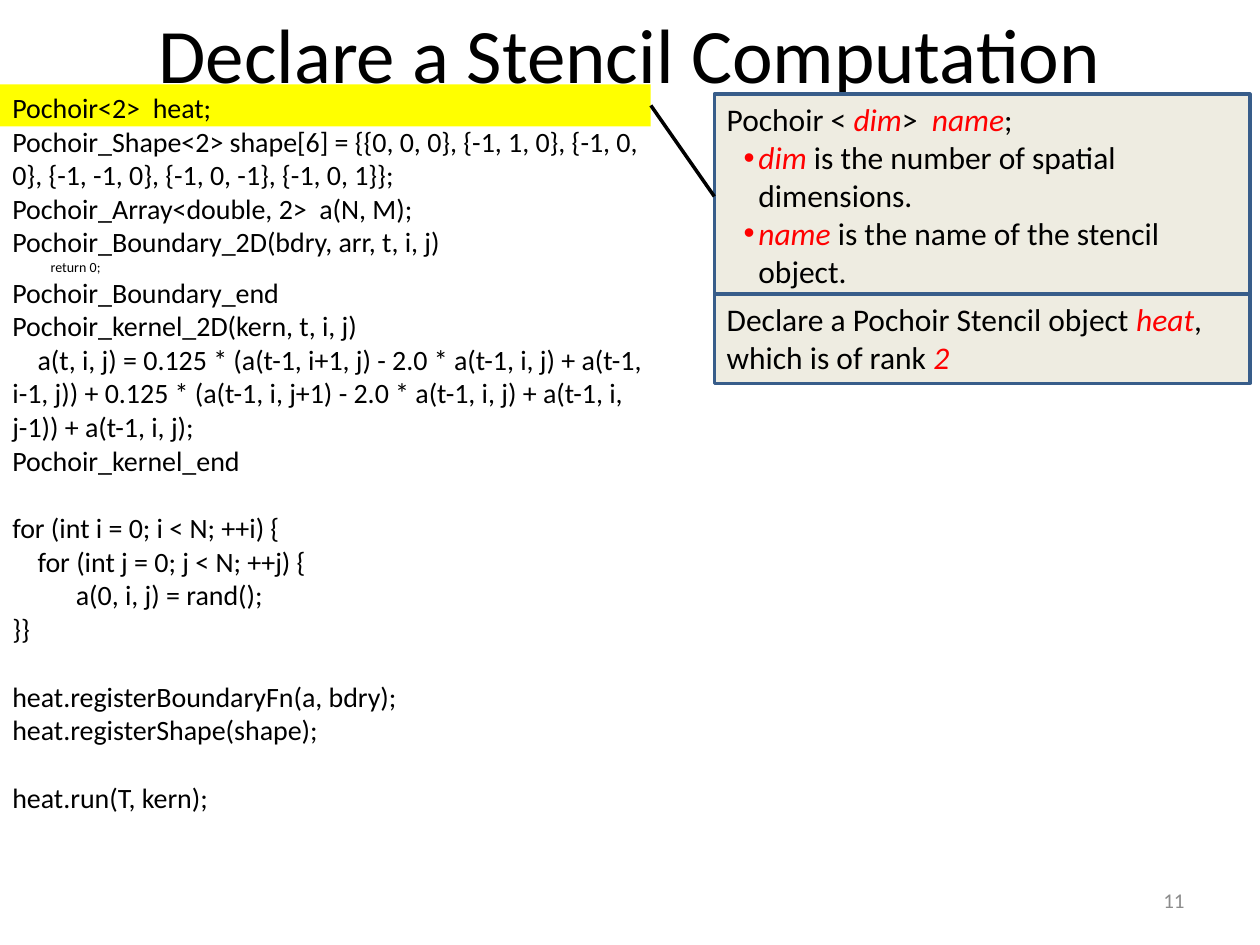
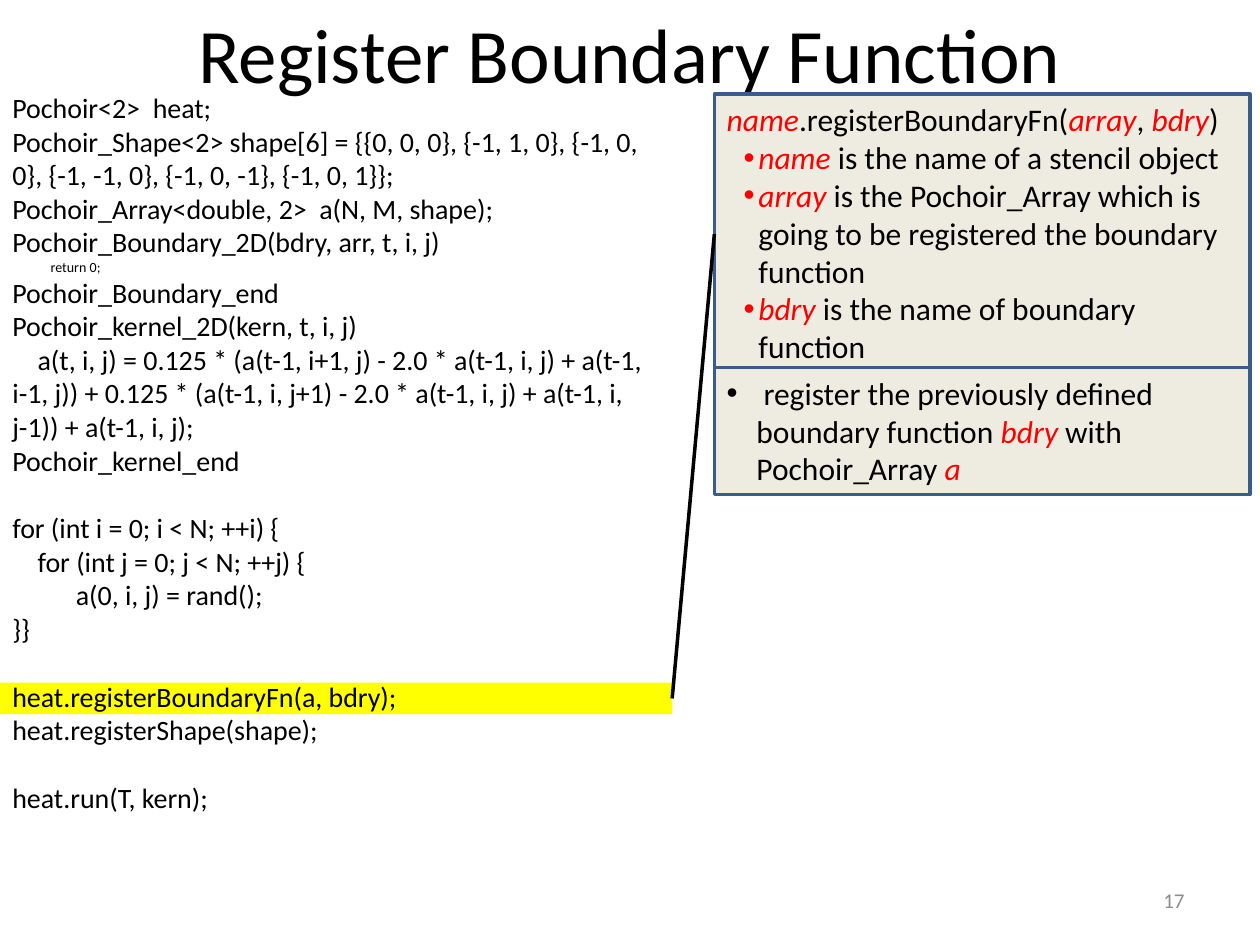
"""Build two slides that explain statements of a stencil program."""
from lxml.etree import SubElement
from pptx import Presentation
from pptx.dml.color import RGBColor
from pptx.enum.shapes import MSO_CONNECTOR as Connector, MSO_SHAPE as Shape
from pptx.enum.text import MSO_ANCHOR as Anchor, PP_ALIGN as Align
from pptx.oxml.ns import qn
from pptx.util import Cm, Pt

BLACK = RGBColor(0x00, 0x00, 0x00)
RED = RGBColor(0xFF, 0x00, 0x00)
YELLOW = RGBColor(0xFF, 0xFF, 0x00)
CREAM = RGBColor(0xEE, 0xEC, 0xE1)
BLUE = RGBColor(0x38, 0x5D, 0x8A)
GREY = RGBColor(0x8C, 0x8C, 0x8C)

FONT = "Calibri"
CODE_SIZE = 16
BLANK_LINE = 19.5
CODE_TOP = 1.7
NOTE_LEFT, NOTE_TOP, NOTE_WIDTH = 14.4, 1.9, 10.8
TITLE_ONLY = 5


def program(array_arguments):
    """Return the code as (text, indent in cm, size, space before) rows."""
    return [
        ("Pochoir<2>  heat;", 0, CODE_SIZE, 0),
        ("Pochoir_Shape<2> shape[6] = {{0, 0, 0}, {-1, 1, 0}, {-1, 0, 0}, "
         "{-1, -1, 0}, {-1, 0, -1}, {-1, 0, 1}};", 0, CODE_SIZE, 0),
        (f"Pochoir_Array<double, 2>  a({array_arguments});", 0, CODE_SIZE, 0),
        ("Pochoir_Boundary_2D(bdry, arr, t, i, j)", 0, CODE_SIZE, 0),
        ("return 0;", 0.77, 8, 0),
        ("Pochoir_Boundary_end", 0, CODE_SIZE, 0),
        ("Pochoir_kernel_2D(kern, t, i, j)", 0, CODE_SIZE, 0),
        ("a(t, i, j) = 0.125 * (a(t-1, i+1, j) - 2.0 * a(t-1, i, j) + "
         "a(t-1, i-1, j)) + 0.125 * (a(t-1, i, j+1) - 2.0 * a(t-1, i, j) + "
         "a(t-1, i, j-1)) + a(t-1, i, j);", 0.51, CODE_SIZE, 0),
        ("Pochoir_kernel_end", 0, CODE_SIZE, 0),
        ("for (int i = 0; i < N; ++i) {", 0, CODE_SIZE, BLANK_LINE),
        ("for (int j = 0; j < N; ++j) {", 0.51, CODE_SIZE, 0),
        ("a(0, i, j) = rand();", 1.28, CODE_SIZE, 0),
        ("}}", 0, CODE_SIZE, 0),
        ("heat.registerBoundaryFn(a, bdry);", 0, CODE_SIZE, BLANK_LINE),
        ("heat.registerShape(shape);", 0, CODE_SIZE, 0),
        ("heat.run(T, kern);", 0, CODE_SIZE, BLANK_LINE),
    ]


class SlideWriter:
    """Hold the deck's style and the slide being written."""

    def __init__(self, deck):
        self.deck = deck
        self.page = None

    def start(self, heading):
        """Add a page and set its title."""
        self.page = self.deck.slides.add_slide(self.deck.slide_layouts[TITLE_ONLY])
        title = self.page.shapes.title
        title.left, title.top = Cm(1.27), Cm(0)
        title.width, title.height = Cm(22.86), Cm(2.12)
        title.text_frame.vertical_anchor = Anchor.MIDDLE
        para = title.text_frame.paragraphs[0]
        para.alignment = Align.CENTER
        self.span(para, heading, 44)

    def span(self, para, text, size, color=BLACK, italic=False):
        """Add one formatted run."""
        span = para.add_run()
        span.text = text
        span.font.name = FONT
        span.font.size = Pt(size)
        span.font.color.rgb = color
        span.font.italic = italic

    def paragraphs(self, frame, count):
        """Return the given number of paragraphs of an empty frame."""
        return [frame.paragraphs[0]] + [frame.add_paragraph() for _ in range(count - 1)]

    def indent(self, para, margin, first, bullet=False):
        """Set the indents in cm, with a bullet if asked."""
        properties = para._p.get_or_add_pPr()
        properties.set("marL", str(Cm(margin)))
        properties.set("indent", str(Cm(first)))
        if bullet:
            SubElement(properties, qn("a:buFont"), typeface="Arial")
            SubElement(properties, qn("a:buChar"), char="•")

    def text_box(self, left, top, width, height):
        """Add a wrapping text box and return its frame."""
        box = self.page.shapes.add_textbox(Cm(left), Cm(top), Cm(width), Cm(height))
        box.text_frame.word_wrap = True
        return box.text_frame

    def rectangle(self, left, top, width, height, fill, line=None):
        """Add a flat rectangle."""
        box = self.page.shapes.add_shape(
            Shape.RECTANGLE, Cm(left), Cm(top), Cm(width), Cm(height))
        box.shadow.inherit = False
        box.fill.solid()
        box.fill.fore_color.rgb = fill
        if line is None:
            box.line.fill.background()
        else:
            box.line.color.rgb = line
            box.line.width = Pt(2)
        return box

    def code(self, rows):
        """Write the program listing."""
        frame = self.text_box(0, CODE_TOP, 13.76, 15)
        for para, row in zip(self.paragraphs(frame, len(rows)), rows):
            text, first, size, before = row
            para.space_before = Pt(before)
            self.indent(para, 0, first)
            self.span(para, text, size)

    def note(self, top, height, lines):
        """Add a note from (text, indents) rows; *stars* mark red italics."""
        box = self.rectangle(NOTE_LEFT, top, NOTE_WIDTH, height, CREAM, BLUE)
        frame = box.text_frame
        frame.word_wrap = True
        frame.vertical_anchor = Anchor.TOP
        for para, (text, indents) in zip(self.paragraphs(frame, len(lines)), lines):
            para.alignment = Align.LEFT
            if indents:
                self.indent(para, *indents, bullet=True)
            for index, part in enumerate(text.split("*")):
                marked = index % 2 == 1
                if part:
                    self.span(para, part, 18, RED if marked else BLACK, marked)
        return box

    def join(self, bar, box):
        """Connect the highlight bar with its note."""
        link = self.page.shapes.add_connector(Connector.STRAIGHT, 0, 0, 0, 0)
        link.begin_connect(bar, 3)
        link.end_connect(box, 1)
        link.line.color.rgb = BLACK
        link.line.width = Pt(2)
        SubElement(link._element.spPr, qn("a:effectLst"))

    def number(self, value):
        """Write the page number."""
        frame = self.text_box(18.2, 17.65, 5.93, 1.01)
        frame.vertical_anchor = Anchor.MIDDLE
        frame.paragraphs[0].alignment = Align.RIGHT
        self.span(frame.paragraphs[0], str(value), 12, GREY)

    def build(self, heading, bar, arguments, syntax, meaning, number):
        """Write a whole page."""
        self.start(heading)
        highlight = self.rectangle(0, *bar, YELLOW)
        self.code(program(arguments))
        self.join(highlight, self.note(NOTE_TOP, *syntax))
        self.note(*meaning)
        self.number(number)


def main():
    """Build and save the deck."""
    deck = Presentation()
    deck.slide_width, deck.slide_height = Cm(25.4), Cm(19.05)
    writer = SlideWriter(deck)
    item, wide_item = (0.64, -0.3), (0.6, -0.6)
    writer.build(
        "Declare a Stencil Computation", (CODE_TOP, 13.12, 0.85), "N, M",
        (4.12, [
            ("Pochoir < *dim*>  *name*;", None),
            ("*dim* is the number of spatial dimensions.", item),
            ("*name *is the name of the stencil object.", item),
        ]),
        (5.93, 1.8, [
            ("Declare a Pochoir Stencil object *heat*, which is of rank *2*", None),
        ]), 11)
    writer.build(
        "Register Boundary Function", (13.76, 13.55, 0.64), "N, M, shape",
        (5.64, [
            ("*name*.registerBoundaryFn(*array*, *bdry*)", None),
            ("*name *is the name of a stencil object", item),
            ("*array *is the Pochoir_Array which is going to be registered "
             "the boundary function", item),
            ("*bdry* is the name of boundary function", item),
        ]),
        (7.41, 2.56, [
            (" register the previously defined boundary function *bdry* with "
             "Pochoir_Array *a*", wide_item),
        ]), 17)
    deck.save("out.pptx")


if __name__ == "__main__":
    main()
